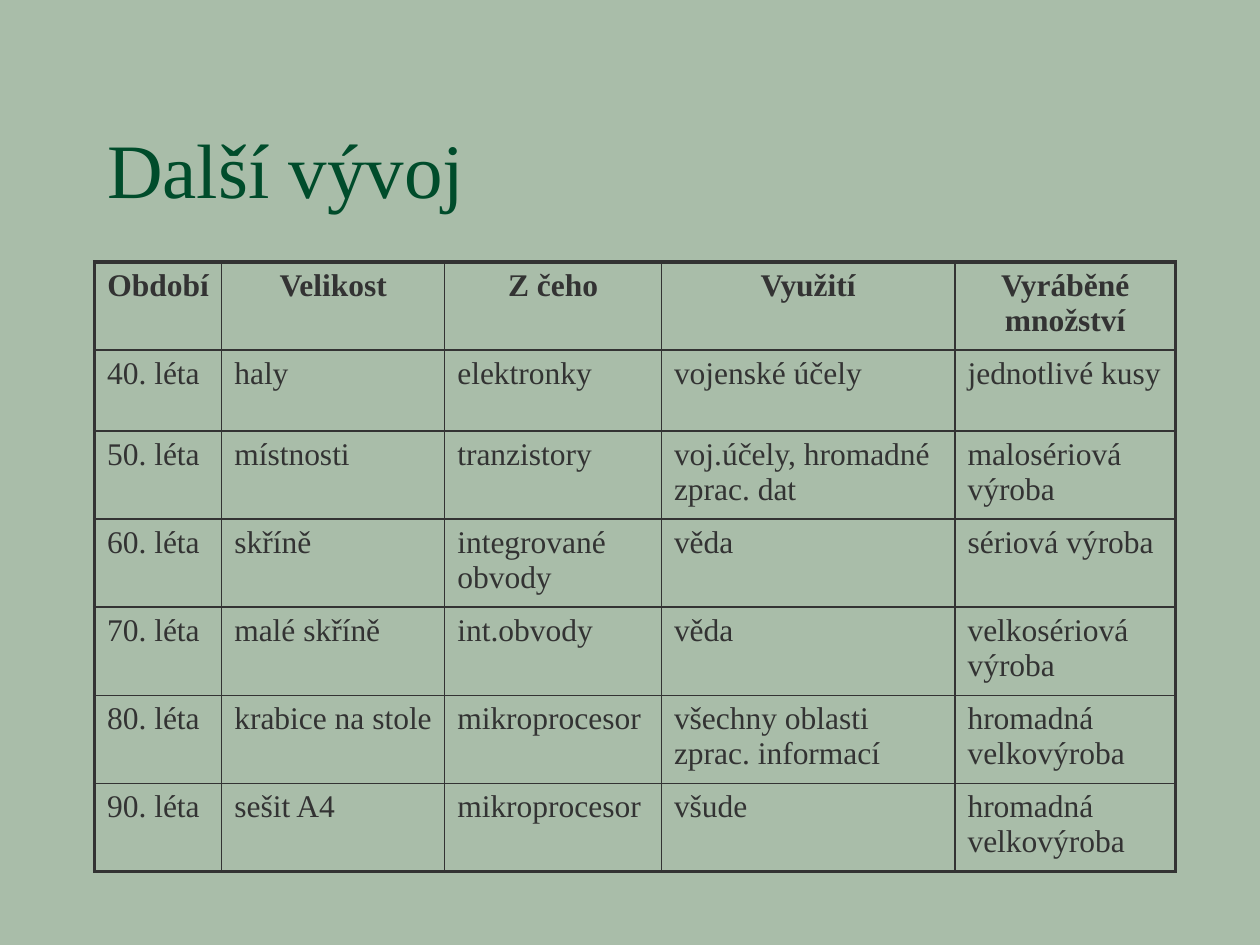
from lxml import etree
from pptx import Presentation
from pptx.dml.color import RGBColor
from pptx.enum.text import MSO_ANCHOR, MSO_AUTO_SIZE, PP_ALIGN
from pptx.oxml.ns import qn
from pptx.util import Inches, Pt

LEFT, CENTER = PP_ALIGN.LEFT, PP_ALIGN.CENTER
BOTTOM, NO_FIT = MSO_ANCHOR.BOTTOM, MSO_AUTO_SIZE.NONE

FONT = "Times New Roman"
COLOURS = {"background": "A9BDA9", "title": "004C2B", "ink": "333333"}
OUTER_LINE, INNER_LINE = 2.25, 1
WIDTH, HEIGHT = 10, 7.5
MARGIN = 0.075 * WIDTH
TITLE_BOX = (MARGIN, 0.33, 0.85 * WIDTH, 1.42)
TABLE_BOX = (MARGIN, 2.08, 8.58, 4.84)
COLUMN_SHARES = (1.01, 1.77, 1.72, 2.33, 1.75)
ROW_SHARES = (0.7, 0.64, 0.7, 0.7, 0.7, 0.7, 0.7)
ROWS = (
    ("Období", "Velikost", "Z čeho", "Využití", "Vyráběné množství"),
    ("40. léta", "haly", "elektronky", "vojenské účely", "jednotlivé kusy"),
    ("50. léta", "místnosti", "tranzistory", "voj.účely, hromadné zprac. dat", "malosériová výroba"),
    ("60. léta", "skříně", "integrované obvody", "věda", "sériová výroba"),
    ("70. léta", "malé skříně", "int.obvody", "věda", "velkosériová výroba"),
    ("80. léta", "krabice na stole", "mikroprocesor", "všechny oblasti zprac. informací", "hromadná velkovýroba"),
    ("90. léta", "sešit A4", "mikroprocesor", "všude", "hromadná velkovýroba"),
)


def write_text(frame, text, size, colour, align=LEFT, bold=False):
    """Put one formatted paragraph into a text frame."""
    frame.text = text
    para = frame.paragraphs[0]
    para.alignment = align
    for span in para.runs:
        span.font.name = FONT
        span.font.size = Pt(size)
        span.font.bold = bold
        span.font.color.rgb = RGBColor.from_string(COLOURS[colour])


def add_title(page, box):
    """Place the slide title at the bottom of its box."""
    title = page.shapes.title
    title.left, title.top, title.width, title.height = map(Inches, box)
    frame = title.text_frame
    write_text(frame, "Další vývoj", 44, "title")
    frame.word_wrap = True
    frame.auto_size = NO_FIT
    frame.vertical_anchor = BOTTOM


def set_borders(cell, edges):
    """Draw the cell's four sides, thick where the side is on the table's edge."""
    properties = cell._tc.get_or_add_tcPr()
    for index, (side, is_edge) in enumerate(edges.items()):
        width = Pt(OUTER_LINE if is_edge else INNER_LINE)
        line = etree.Element(qn(f"a:ln{side}"), w=str(width))
        fill = etree.SubElement(line, qn("a:solidFill"))
        etree.SubElement(fill, qn("a:srgbClr"), val=COLOURS["ink"])
        properties.insert(index, line)


def add_history_table(page, box):
    """Place the table of computer generations in the given box."""
    left, top, width, height = box
    last_row, last_column = len(ROWS) - 1, len(COLUMN_SHARES) - 1
    table = page.shapes.add_table(
        len(ROWS), len(COLUMN_SHARES), *map(Inches, box)
    ).table
    table.horz_banding = False
    for column, share in zip(table.columns, COLUMN_SHARES):
        column.width = Inches(width * share / sum(COLUMN_SHARES))
    for row, share in zip(table.rows, ROW_SHARES):
        row.height = Inches(height * share / sum(ROW_SHARES))
    for r, texts in enumerate(ROWS):
        is_header = r == 0
        for c, text in enumerate(texts):
            cell = table.cell(r, c)
            cell.fill.background()
            align = CENTER if is_header else LEFT
            write_text(cell.text_frame, text, 18, "ink", align, is_header)
            set_borders(cell, {"L": c == 0, "R": c == last_column,
                               "T": is_header, "B": r == last_row})


def main():
    """Build the deck and save it."""
    deck = Presentation()
    deck.slide_width, deck.slide_height = Inches(WIDTH), Inches(HEIGHT)
    page = deck.slides.add_slide(deck.slide_layouts.get_by_name("Title Only"))
    page.background.fill.solid()
    page.background.fill.fore_color.rgb = RGBColor.from_string(COLOURS["background"])
    add_title(page, TITLE_BOX)
    add_history_table(page, TABLE_BOX)
    deck.save("out.pptx")


if __name__ == "__main__":
    main()
